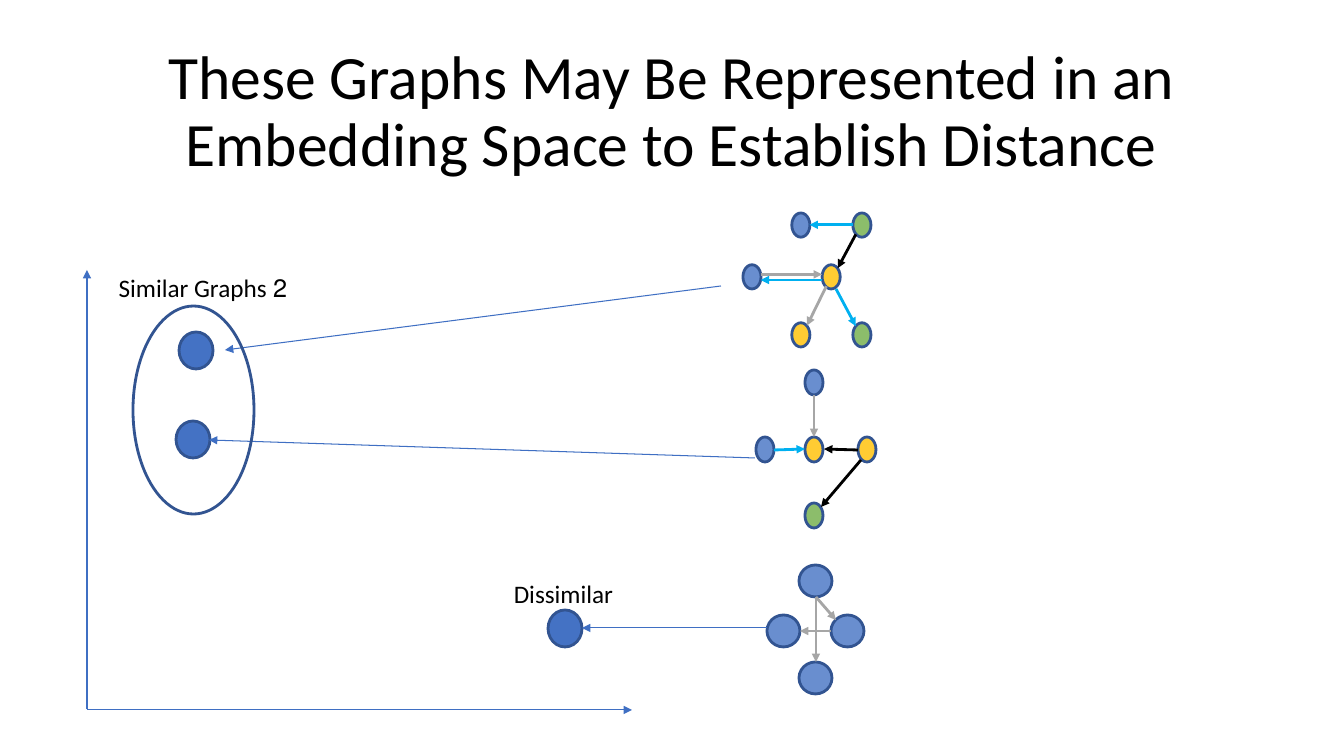
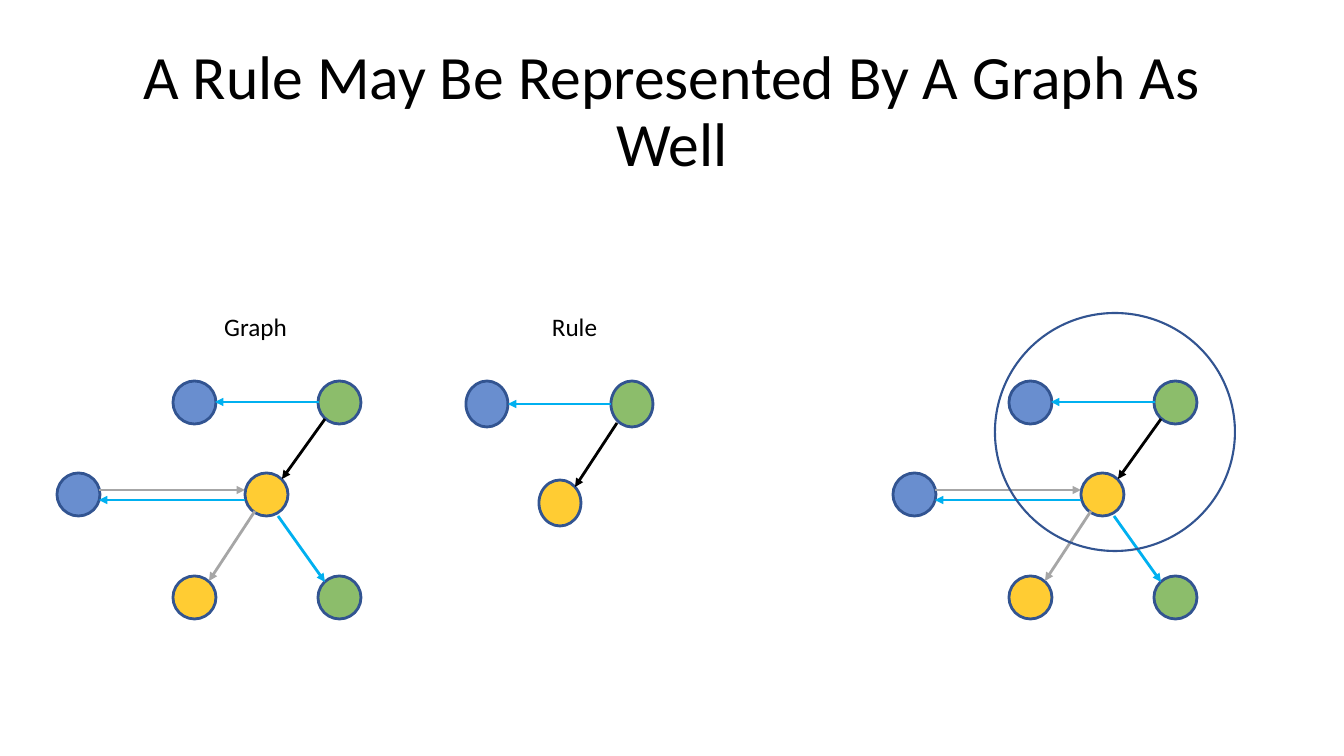
from dataclasses import dataclass

import pptx
import pptx.dml.color
import pptx.enum.shapes
import pptx.enum.text
import pptx.oxml
import pptx.oxml.ns
import pptx.util

# Shared style
EMU_PER_PX = 914400 / 100.8
FONT = "Calibri"
BLUE, GREEN, YELLOW = "4472C4", "70AD47", "FFC000"
OUTLINE, THIN_ARROW = "325491", "3F6FC3"
GRAY, BLACK, CYAN = "A6A6A6", "000000", "00B0F0"
ALIGN = pptx.enum.text.PP_ALIGN


@dataclass
class Graph:
    size: tuple    # design width and height
    node: tuple    # node width and height
    nodes: list    # colour, left, top
    edges: list    # colour, from x, from y, to x, to y


# The graphs, each in its own design space
STAR = Graph(
    (304, 238), (43, 43),
    [(GREEN, 261, 0), (GREEN, 261, 195), (YELLOW, 116, 195),
     (YELLOW, 188, 92), (BLUE, 116, 0), (BLUE, 0, 92)],
    [(GRAY, 42, 109, 188, 109), (BLACK, 268, 38, 225, 98),
     (CYAN, 262, 21, 158, 21), (GRAY, 198, 130, 152, 200),
     (CYAN, 188, 119, 42, 119), (CYAN, 221, 135, 268, 201)])
CROSS = Graph(
    (120, 158), (18, 25),
    [(GREEN, 49, 133), (YELLOW, 102, 67), (YELLOW, 49, 67),
     (BLUE, 49, 0), (BLUE, 0, 67)],
    [(BLACK, 105, 90, 65, 137), (GRAY, 58, 25, 58, 67),
     (CYAN, 18, 80, 49, 79), (BLACK, 102, 80, 68, 79)])
DIAMOND = Graph(
    (97, 129), (33, 32),
    [(BLUE, 0, 50), (BLUE, 32, 97), (BLUE, 32, 0), (BLUE, 64, 50)],
    [(GRAY, 49, 32, 69, 55), (GRAY, 64, 66, 33, 66),
     (GRAY, 49, 32, 49, 97)])
RULE = Graph(
    (187, 145), (42, 46),
    [(GREEN, 145, 0), (YELLOW, 73, 99), (BLUE, 0, 0)],
    [(BLACK, 151, 42, 109, 106), (CYAN, 145, 23, 42, 23)])


def px(*lengths):
    return [pptx.util.Emu(round(length * EMU_PER_PX)) for length in lengths]


def color(value):
    return pptx.dml.color.RGBColor.from_string(value)


def add_ellipse(shapes, box, fill=None, alpha=100, width=2):
    ellipse = shapes.add_shape(pptx.enum.shapes.MSO_SHAPE.OVAL, *px(*box))
    ellipse.shadow.inherit = False
    ellipse.line.color.rgb = color(OUTLINE)
    ellipse.line.width = pptx.util.Pt(width)
    if fill is None:
        ellipse.fill.background()
        return
    ellipse.fill.solid()
    ellipse.fill.fore_color.rgb = color(fill)
    if alpha < 100:
        tint = ellipse.fill._xPr.find(".//" + pptx.oxml.ns.qn("a:srgbClr"))
        tint.append(pptx.oxml.parse_xml(
            f'<a:alpha {pptx.oxml.ns.nsdecls("a")} val="{alpha * 1000}"/>'))


def add_arrow(shapes, ends, stroke=THIN_ARROW, width=0.75):
    arrow = shapes.add_connector(
        pptx.enum.shapes.MSO_CONNECTOR.STRAIGHT, *px(*ends))
    arrow.line.color.rgb = color(stroke)
    arrow.line.width = pptx.util.Pt(width)
    namespace = pptx.oxml.ns.nsdecls("a")
    arrow.line._get_or_add_ln().append(pptx.oxml.parse_xml(
        f'<a:tailEnd {namespace} type="triangle"/>'))
    arrow._element.spPr.append(
        pptx.oxml.parse_xml(f"<a:effectLst {namespace}/>"))


def add_text(slide, box, text, size=18, align=ALIGN.CENTER, rtl=True):
    frame = slide.shapes.add_textbox(*px(*box)).text_frame
    frame.word_wrap = True
    paragraph = frame.paragraphs[0]
    paragraph.alignment = align
    if rtl:
        paragraph._p.get_or_add_pPr().set("rtl", "1")
    run = paragraph.add_run()
    run.text = text
    run.font.name = FONT
    run.font.size = pptx.util.Pt(size)
    run.font.color.rgb = color(BLACK)
    return frame


def add_title(slide, text):
    frame = add_text(slide, (92, 40, 1160, 146), text, size=44, rtl=False)
    frame.vertical_anchor = pptx.enum.text.MSO_ANCHOR.MIDDLE
    frame.paragraphs[0].line_spacing = 0.9


def add_graph(slide, graph, left, top, size=None):
    """Draw a graph at its design size, or stretched to the given size."""
    width, height = size or graph.size
    sx, sy = width / graph.size[0], height / graph.size[1]
    node_width, node_height = graph.node
    group = slide.shapes.add_group_shape().shapes
    for fill, x, y in graph.nodes:
        add_ellipse(group, (left + x * sx, top + y * sy,
                            node_width * sx, node_height * sy), fill, 80)
    for stroke, x1, y1, x2, y2 in graph.edges:
        add_arrow(group, (left + x1 * sx, top + y1 * sy,
                          left + x2 * sx, top + y2 * sy), stroke, 2)


def embedding_slide(slide):
    add_title(slide, "These Graphs May Be Represented in an "
                     "Embedding Space to Establish Distance")
    # Axes of the embedding space
    add_arrow(slide.shapes, (87, 710, 632, 710))
    add_arrow(slide.shapes, (87, 709, 87, 270))
    # Graphs
    add_graph(slide, STAR, 743, 213, (128, 134))
    add_graph(slide, CROSS, 756, 370)
    add_graph(slide, DIAMOND, 767, 565)
    # Points in the space and the arrows to them
    for left, top in ((179, 332), (176, 421), (548, 610)):
        add_ellipse(slide.shapes, (left, top, 34, 37), BLUE)
    for ends in ((721, 286, 225, 350), (755, 458, 209, 440),
                 (767, 628, 582, 628)):
        add_arrow(slide.shapes, ends)
    # Cluster and labels
    add_ellipse(slide.shapes, (133, 306, 121, 208))
    add_text(slide, (99, 267, 198, 70), "2 Similar Graphs", align=ALIGN.RIGHT)
    add_text(slide, (453, 573, 170, 40), "Dissimilar", align=ALIGN.RIGHT)


def rule_slide(slide):
    add_title(slide, "A Rule May Be Represented By A Graph As Well")
    # Graph, rule, and the rule found in the graph
    add_graph(slide, STAR, 57, 381)
    add_graph(slide, RULE, 466, 381)
    add_graph(slide, STAR, 893, 381)
    add_ellipse(slide.shapes, (995, 313, 240, 238), width=1.5)
    for left, label in ((202, "Graph"), (521, "Rule")):
        add_text(slide, (left, 306, 107, 40), label)


def main():
    deck = pptx.Presentation()
    deck.slide_width, deck.slide_height = px(1344, 756)
    for build in (embedding_slide, rule_slide):
        build(deck.slides.add_slide(deck.slide_layouts[6]))
    deck.save("out.pptx")


main()
